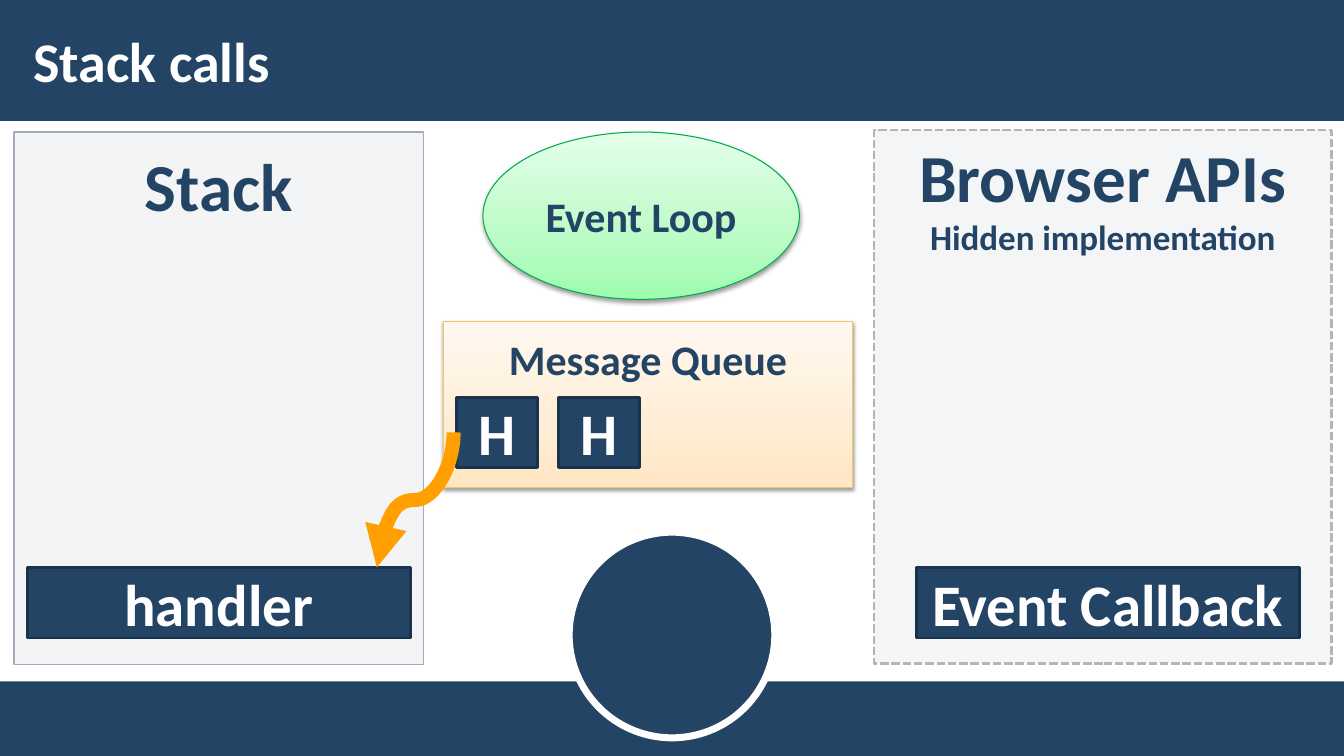
from dataclasses import dataclass

from lxml import etree
from pptx import Presentation
from pptx.dml.color import RGBColor
from pptx.enum.dml import MSO_LINE
from pptx.enum.shapes import MSO_CONNECTOR, MSO_SHAPE
from pptx.enum.text import MSO_ANCHOR, PP_ALIGN
from pptx.oxml.ns import qn
from pptx.util import Inches, Pt

RECTANGLE, OVAL = MSO_SHAPE.RECTANGLE, MSO_SHAPE.OVAL
CURVE = MSO_CONNECTOR.CURVE
TOP, MIDDLE = MSO_ANCHOR.TOP, MSO_ANCHOR.MIDDLE
LEFT, CENTER = PP_ALIGN.LEFT, PP_ALIGN.CENTER
DASH = MSO_LINE.SQUARE_DOT

WIDTH, HEIGHT = Inches(13.333), Inches(7.5)
COLUMN, ROW = WIDTH / 100, HEIGHT / 100


@dataclass(frozen=True)
class Theme:
    """Colours, type sizes and insets of the slide."""
    font: str = "Calibri"
    navy: str = "234465"
    navy_edge: str = "1A324B"
    white: str = "FFFFFF"
    stack: str = "F3F4F6"
    stack_edge: str = "A3ABBC"
    browser: str = "F4F5F7"
    browser_edge: str = "B5B5B7"
    queue: tuple = ("FFE6C4", "FFEDD5", "FFF8EF")
    queue_edge: str = "F5C567"
    loop: tuple = ("9DFCAE", "BBFBC6", "E4FFE9")
    loop_edge: str = "00AC4E"
    arrow: str = "FFA000"
    title_size: int = 40
    heading_size: int = 48
    card_size: int = 42
    label_size: int = 30
    note_size: int = 25
    narrow_inset: tuple = (0.1, 0.05)
    wide_inset: tuple = (0.16, 0.12)
    title_inset: tuple = (0.12, 0.04)


THEME = Theme()


@dataclass(frozen=True)
class Box:
    """A rectangle in columns and rows of a 100 by 100 grid."""
    left: float
    top: float
    width: float
    height: float

    def inner(self, left, top, width, height):
        """Return a box offset from this one's corner."""
        return Box(self.left + left, self.top + top, width, height)

    def lengths(self):
        """Return left, top, width and height as slide lengths."""
        return (round(self.left * COLUMN), round(self.top * ROW),
                round(self.width * COLUMN), round(self.height * ROW))


def color(value):
    """Turn a hex string into a colour."""
    return RGBColor.from_string(value)


def add_gradient(shape, colors):
    """Fill a shape with three colours rising from its bottom edge."""
    shape.fill.gradient()
    shape.fill.gradient_angle = 90
    stops = shape._element.spPr.find(qn("a:gradFill")).find(qn("a:gsLst"))
    for stop in list(stops):
        stops.remove(stop)
    for position, value in zip((0, 35000, 100000), colors):
        stop = etree.SubElement(stops, qn("a:gs"), pos=str(position))
        etree.SubElement(stop, qn("a:srgbClr"), val=value)


def add_shadow(shape):
    """Give a shape a soft shadow below it."""
    effects = shape._element.spPr.find(qn("a:effectLst"))
    shadow = etree.SubElement(effects, qn("a:outerShdw"), blurRad=str(Pt(3.1)),
                              dist=str(Pt(1.6)), dir="5400000", rotWithShape="0")
    black = etree.SubElement(shadow, qn("a:srgbClr"), val="000000")
    etree.SubElement(black, qn("a:alpha"), val="38000")


def add_panel(slide, box, fill, edge=None, weight=1, kind=RECTANGLE):
    """Add a shape with a plain fill, or a gradient and shadow for several colours."""
    shape = slide.shapes.add_shape(kind, *box.lengths())
    shape.shadow.inherit = False
    if isinstance(fill, tuple):
        add_gradient(shape, fill)
        add_shadow(shape)
    else:
        shape.fill.solid()
        shape.fill.fore_color.rgb = color(fill)
    if edge:
        shape.line.color.rgb = color(edge)
        shape.line.width = Pt(weight)
    else:
        shape.line.fill.background()
    return shape


def write(shape, lines, ink=THEME.navy, anchor=TOP, inset=THEME.narrow_inset, align=CENTER):
    """Write (text, size) lines in bold into a shape."""
    frame = shape.text_frame
    frame.word_wrap = True
    frame.vertical_anchor = anchor
    frame.margin_left = frame.margin_right = Inches(inset[0])
    frame.margin_top = frame.margin_bottom = Inches(inset[1])
    for index, (text, size) in enumerate(lines):
        paragraph = frame.add_paragraph() if index else frame.paragraphs[0]
        paragraph.text = text
        paragraph.alignment = align
        paragraph.font.name = THEME.font
        paragraph.font.size = Pt(size)
        paragraph.font.bold = True
        paragraph.font.color.rgb = color(ink)


def draw_card(slide, box, text):
    """Draw a navy card and return its box."""
    card = add_panel(slide, box, THEME.navy, THEME.navy_edge, 2)
    write(card, [(text, THEME.card_size)], THEME.white, MIDDLE)
    return box


def draw_header(slide, box, title):
    """Draw the title band."""
    add_panel(slide, box, THEME.navy)
    title_box = slide.shapes.add_textbox(*box.inner(1.58, 1.47, 78, 12.93).lengths())
    write(title_box, [(title, THEME.title_size)], THEME.white, MIDDLE, THEME.title_inset, LEFT)


def draw_footer(slide, box):
    """Draw the bottom band with its centred disc."""
    add_panel(slide, box, THEME.navy)
    disc = box.inner((box.width - 15.3) / 2, -19.73, 15.3, 27.2)
    add_panel(slide, disc, THEME.navy, THEME.white, 5, OVAL)


def draw_stack(slide, box, call):
    """Draw the stack and return the box of its call."""
    panel = add_panel(slide, box, THEME.stack, THEME.stack_edge)
    write(panel, [("Stack", THEME.heading_size)], inset=THEME.wide_inset)
    return draw_card(slide, box.inner(0.98, 57.6, 28.5, 9.33), call)


def draw_browser(slide, box, call):
    """Draw the browser interfaces with one callback."""
    panel = add_panel(slide, box, THEME.browser, THEME.browser_edge, 2)
    panel.line.dash_style = DASH
    write(panel, [("Browser APIs", THEME.heading_size),
                  ("Hidden implementation", THEME.note_size)])
    draw_card(slide, box.inner(3.15, 57.87, 28.5, 9.33), call)


def draw_queue(slide, box, messages):
    """Draw the message queue and return the boxes of its messages."""
    panel = add_panel(slide, box, THEME.queue, THEME.queue_edge, 0.75)
    write(panel, [("Message Queue", THEME.label_size)], inset=THEME.wide_inset)
    return [draw_card(slide, box.inner(0.98 + 7.58 * index, 10, 6, 9.33), message)
            for index, message in enumerate(messages)]


def draw_loop(slide, box):
    """Draw the event loop."""
    oval = add_panel(slide, box, THEME.loop, THEME.loop_edge, 0.75, OVAL)
    write(oval, [("Event Loop", THEME.label_size)], anchor=MIDDLE)


def draw_arrow(slide, message, call):
    """Draw a curved arrow from a message down to a call."""
    start_x, start_y = (message.left - 0.23) * COLUMN, (message.top + message.height / 2) * ROW
    end_x, end_y = (call.left + 26) * COLUMN, call.top * ROW
    middle_x, middle_y = (start_x + end_x) / 2, (start_y + end_y) / 2
    half_length, half_width = (end_y - start_y) / 2, (start_x - end_x) / 2
    arrow = slide.shapes.add_connector(
        CURVE, round(middle_x - half_length), round(middle_y - half_width),
        round(middle_x + half_length), round(middle_y + half_width))
    arrow.line.color.rgb = color(THEME.arrow)
    arrow.line.width = Pt(10)
    properties = arrow._element.spPr
    properties.find(qn("a:xfrm")).set("rot", "5400000")
    etree.SubElement(properties.find(qn("a:ln")), qn("a:tailEnd"), type="triangle")
    etree.SubElement(properties, qn("a:effectLst"))


def main():
    """Build the slide and save it."""
    presentation = Presentation()
    presentation.slide_width, presentation.slide_height = WIDTH, HEIGHT
    slide = presentation.slides.add_slide(presentation.slide_layouts[6])
    draw_header(slide, Box(0, 0, 100, 16), "Stack calls")
    draw_footer(slide, Box(0, 90.13, 100, 9.87))
    draw_browser(slide, Box(65.03, 17.2, 34.05, 70.53), "Event Callback")
    handler = draw_stack(slide, Box(1.05, 17.47, 30.45, 70.4), "handler")
    messages = draw_queue(slide, Box(33, 42.53, 30.45, 22), ["H", "H"])
    draw_loop(slide, Box(35.93, 17.47, 23.55, 22.13))
    draw_arrow(slide, messages[0], handler)
    presentation.save("out.pptx")


if __name__ == "__main__":
    main()
